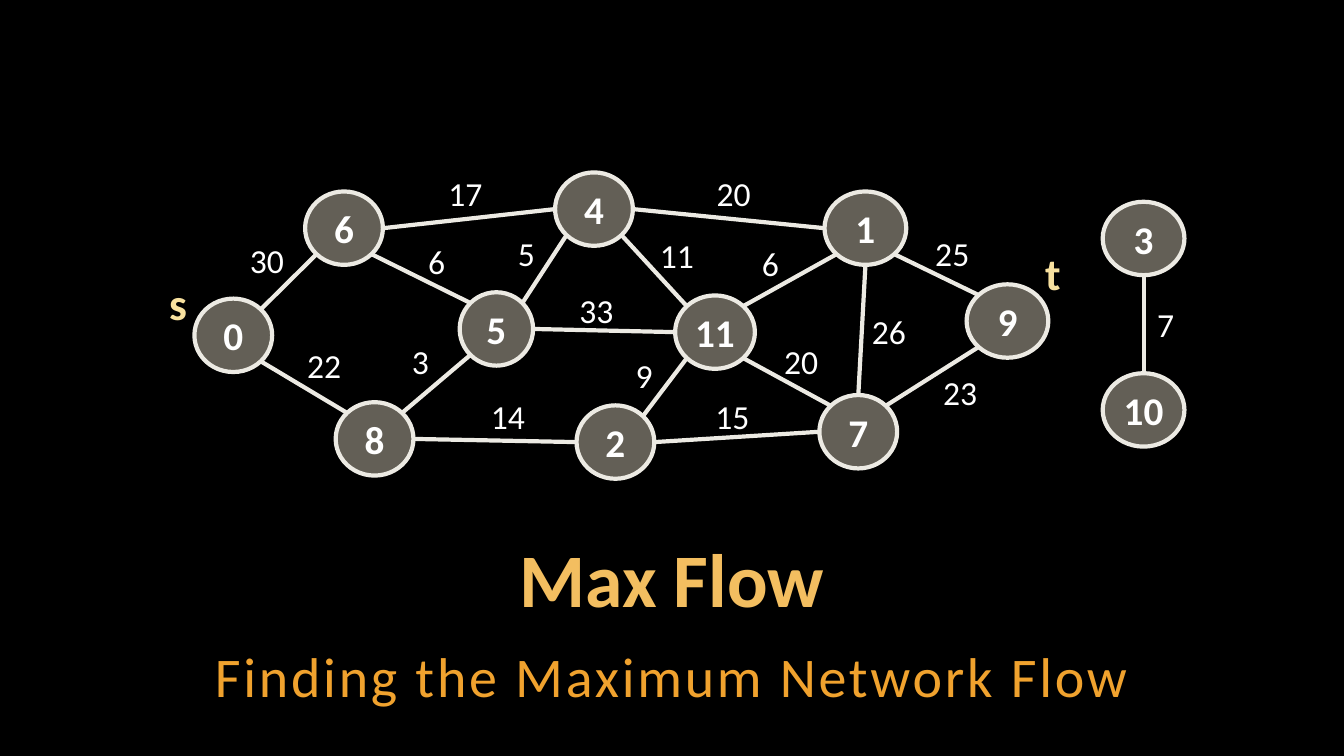
from dataclasses import dataclass
from itertools import product
from math import dist, sqrt

from lxml.etree import SubElement
from pptx import Presentation
from pptx.dml.color import RGBColor as RGB
from pptx.enum.shapes import MSO_CONNECTOR as CONN, MSO_SHAPE as SHAPE
from pptx.enum.text import MSO_ANCHOR as ANCHOR, MSO_AUTO_SIZE as FIT, PP_ALIGN as ALIGN
from pptx.oxml.ns import qn
from pptx.util import Cm, Pt


@dataclass(frozen=True)
class Theme:
    font: str = "Calibri"
    background: str = "000000"
    title: str = "F3BE60"
    subtitle: str = "F0A22E"
    terminal: str = "F8E19F"
    text: str = "FFFFFF"
    node: str = "C7BFAC"
    line: str = "ECEAE3"
    title_size: int = 54
    subtitle_size: int = 40
    terminal_size: int = 32
    node_size: int = 28
    weight_size: int = 24
    line_width: int = 3
    node_alpha: int = 50
    subtitle_spacing: int = 2


NODE_HEIGHT = 1.85
# number: (centre x, centre y, width) in cm
NODES = {
    0: (5.88, 8.45, 1.96),
    1: (21.81, 5.75, 2.06),
    2: (15.51, 11.14, 1.96),
    3: (28.82, 6.01, 2.06),
    4: (14.97, 5.27, 1.96),
    5: (12.51, 8.29, 1.85),
    6: (8.67, 5.75, 1.96),
    7: (21.63, 10.88, 1.96),
    8: (9.44, 11.06, 1.96),
    9: (25.39, 8.09, 2.06),
    10: (28.82, 10.33, 2.06),
    11: (18.02, 8.37, 2.01),
}
# node, node, capacity, left and top of its label in cm
EDGES = [
    (0, 6, 30, 6.05, 5.92),
    (0, 8, 22, 7.49, 8.56),
    (6, 4, 17, 11.05, 4.24),
    (6, 5, 6, 10.54, 5.94),
    (8, 5, 3, 10.13, 8.46),
    (8, 2, 14, 12.12, 9.86),
    (4, 5, 5, 12.8, 5.74),
    (4, 11, 11, 16.38, 5.79),
    (5, 11, 33, 14.35, 7.19),
    (2, 11, 9, 15.77, 8.81),
    (2, 7, 15, 17.78, 9.86),
    (4, 1, 20, 17.81, 4.24),
    (11, 1, 6, 18.95, 5.99),
    (11, 7, 20, 19.51, 8.46),
    (7, 1, 26, 21.72, 7.7),
    (1, 9, 25, 23.32, 5.74),
    (7, 9, 23, 23.52, 9.25),
    (3, 10, 7, 28.91, 7.54),
]
TERMINALS = [("s", 4.01, 6.83), ("t", 26.09, 6.07)]


def apply(obj, **values):
    for name, value in values.items():
        setattr(obj, name, value)


def rim_points(node):
    """The eight points of an ellipse that lie on its axes and diagonals."""
    x, y, width = NODES[node]
    for dx, dy in product((-1, 0, 1), repeat=2):
        if dx or dy:
            scale = 2 * sqrt(dx * dx + dy * dy)
            yield x + dx * width / scale, y + dy * NODE_HEIGHT / scale


class FlowSlide:
    def __init__(self, prs, theme):
        self.theme = theme
        self.slide = prs.slides.add_slide(prs.slide_layouts[6])
        fill = self.slide.background.fill
        fill.solid()
        fill.fore_color.rgb = RGB.from_string(theme.background)
        self.graph = self.slide.shapes.add_group_shape().shapes

    def add_text(self, tf, text, size, color, bold=False, **paragraph):
        p = tf.paragraphs[0]
        apply(p, **paragraph)
        r = p.add_run()
        r.text = str(text)
        apply(r.font, name=self.theme.font, size=Pt(size), bold=bold)
        r.font.color.rgb = RGB.from_string(color)
        return r

    def outline(self, sp):
        sp.line.color.rgb = RGB.from_string(self.theme.line)
        sp.line.width = Pt(self.theme.line_width)

    def heading(self, text, top, height, size, color, anchor, **style):
        sp = self.slide.shapes.add_textbox(Cm(2.54), Cm(top), Cm(28.78), Cm(height))
        tf = sp.text_frame
        apply(tf, word_wrap=True, vertical_anchor=anchor, margin_left=Cm(0.1),
              margin_right=Cm(0.1), margin_top=Cm(0.1), margin_bottom=Cm(0.1))
        return self.add_text(tf, text, size, color, alignment=ALIGN.CENTER, **style)

    def label(self, text, left, top, width, height, size, color, bold=False):
        sp = self.graph.add_textbox(Cm(left), Cm(top), Cm(width), Cm(height))
        apply(sp.text_frame, word_wrap=False, auto_size=FIT.SHAPE_TO_FIT_TEXT)
        self.add_text(sp.text_frame, text, size, color, bold)

    def edge(self, a, b):
        """Joins two nodes by the shortest line between their rim points."""
        start, end = min(product(rim_points(a), rim_points(b)), key=lambda ends: dist(*ends))
        cxn = self.graph.add_connector(CONN.STRAIGHT, *(Cm(v) for v in start + end))
        self.outline(cxn)
        SubElement(cxn._element.spPr, qn("a:effectLst"))

    def node(self, number):
        x, y, width = NODES[number]
        sp = self.graph.add_shape(SHAPE.OVAL, Cm(x - width / 2), Cm(y - NODE_HEIGHT / 2),
                                  Cm(width), Cm(NODE_HEIGHT))
        sp.shadow.inherit = False
        sp.fill.solid()
        sp.fill.fore_color.rgb = RGB.from_string(self.theme.node)
        color = sp._element.spPr.find(qn("a:solidFill"))[0]
        SubElement(color, qn("a:alpha"), val=str(self.theme.node_alpha * 1000))
        self.outline(sp)
        tf = sp.text_frame
        apply(tf, word_wrap=False, vertical_anchor=ANCHOR.MIDDLE, margin_left=Cm(0.1),
              margin_right=Cm(0.1), margin_top=Cm(0.13), margin_bottom=Cm(0.13))
        self.add_text(tf, number, self.theme.node_size, self.theme.text, True,
                      alignment=ALIGN.CENTER)


def main():
    prs = Presentation()
    apply(prs, slide_width=Cm(33.87), slide_height=Cm(19.05))
    theme = Theme()
    s = FlowSlide(prs, theme)

    for a, b, *_ in EDGES:
        s.edge(a, b)
    for number in NODES:
        s.node(number)
    for _, _, capacity, left, top in EDGES:
        width = 1.37 if capacity > 9 else 0.94
        s.label(capacity, left, top, width, 1.27, theme.weight_size, theme.text)
    for name, left, top in TERMINALS:
        s.label(name, left, top, 0.95, 1.63, theme.terminal_size, theme.terminal, True)

    s.heading("Max Flow", 13.54, 2.29, theme.title_size, theme.title,
              ANCHOR.BOTTOM, bold=True, line_spacing=0.9)
    r = s.heading("Finding the Maximum Network Flow", 15.98, 2.01, theme.subtitle_size,
                  theme.subtitle, ANCHOR.TOP, line_spacing=1.05, space_after=Pt(6))
    r.font._element.set("spc", str(theme.subtitle_spacing * 100))

    prs.save("out.pptx")


if __name__ == "__main__":
    main()
